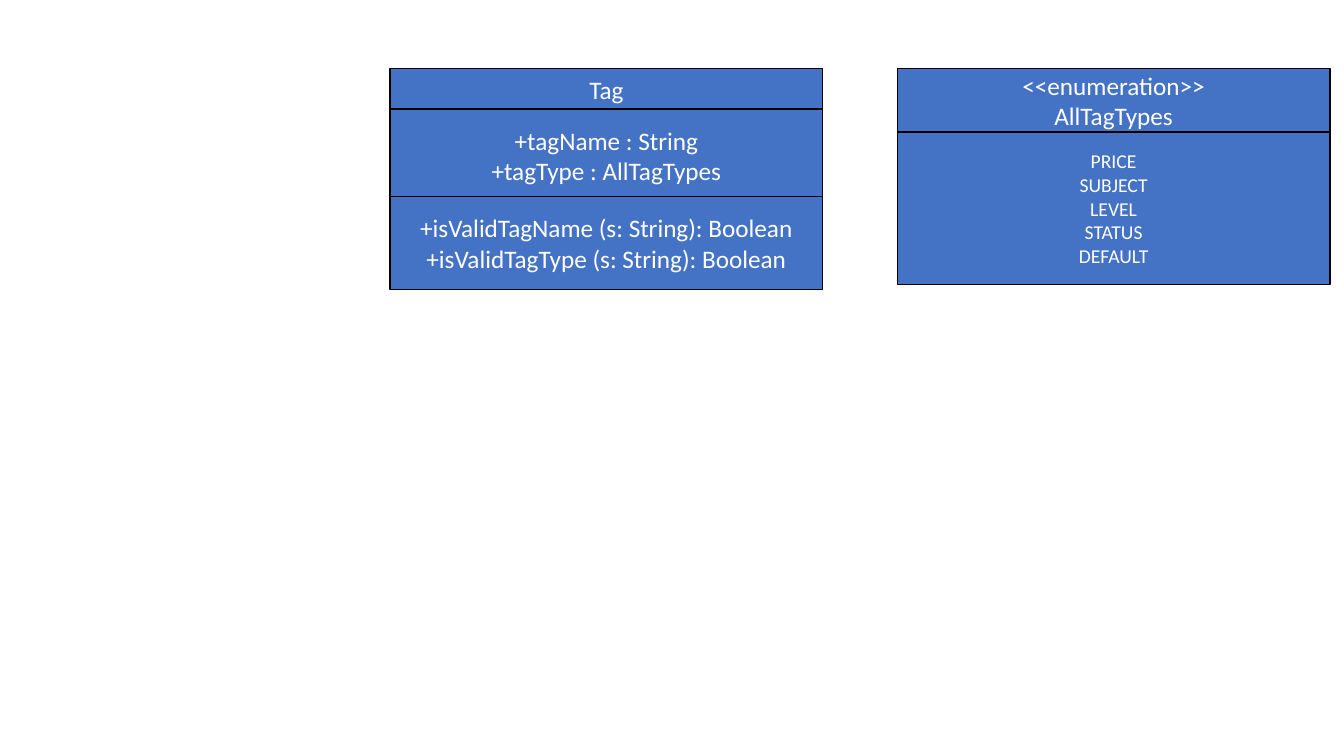
"""Build a slide with two UML class boxes: Tag and AllTagTypes."""
import dataclasses

import pptx
import pptx.dml.color
import pptx.enum.shapes
import pptx.enum.text
import pptx.shapes.autoshape
import pptx.slide
import pptx.text.text
import pptx.util

COLORS = {"fill": "4472C4", "line": "000000", "text": "FFFFFF"}
FONT = "Calibri"
SLIDE_WIDTH = pptx.util.Inches(13.33)
SLIDE_HEIGHT = pptx.util.Inches(7.5)
BOX_WIDTH = 32.18
TAG_LEFT = 29.03
ENUMERATION_LEFT = 66.77
TOP = 9.07
MEMBERS_HEIGHT = 12.27


@dataclasses.dataclass(frozen=True)
class Compartment:
    """One section of a class box, placed in percent of the slide's size."""

    left: float
    top: float
    height: float
    lines: tuple[str, ...]
    size: int = 18


COMPARTMENTS = (
    Compartment(TAG_LEFT, TOP, 5.6, ("Tag",)),
    Compartment(TAG_LEFT, 14.4, MEMBERS_HEIGHT,
                ("+tagName : String", "+tagType : AllTagTypes")),
    Compartment(ENUMERATION_LEFT, TOP, 8.4, ("<<enumeration>>", "AllTagTypes")),
    Compartment(ENUMERATION_LEFT, 17.47, 20.13,
                ("PRICE", "SUBJECT", "LEVEL", "STATUS", "DEFAULT"), size=14),
    Compartment(TAG_LEFT, 26, MEMBERS_HEIGHT,
                ("+isValidTagName (s: String): Boolean",
                 "+isValidTagType (s: String): Boolean")),
)


def rgb(name: str) -> pptx.dml.color.RGBColor:
    """Return the named colour."""
    return pptx.dml.color.RGBColor.from_string(COLORS[name])


def across(percent: float) -> int:
    """Convert a percentage of the slide's width to a length."""
    return round(SLIDE_WIDTH * percent / 100)


def down(percent: float) -> int:
    """Convert a percentage of the slide's height to a length."""
    return round(SLIDE_HEIGHT * percent / 100)


def write_text(frame: pptx.text.text.TextFrame, lines: tuple[str, ...], *,
               size: int, color: str = "text") -> None:
    """Write centred paragraphs, one for each line."""
    frame.word_wrap = True
    frame.vertical_anchor = pptx.enum.text.MSO_ANCHOR.MIDDLE
    for index, line in enumerate(lines):
        paragraph = frame.add_paragraph() if index else frame.paragraphs[0]
        paragraph.alignment = pptx.enum.text.PP_ALIGN.CENTER
        run = paragraph.add_run()
        run.text = line
        run.font.name = FONT
        run.font.size = pptx.util.Pt(size)
        run.font.color.rgb = rgb(color)


def draw_compartment(slide: pptx.slide.Slide,
                     compartment: Compartment) -> pptx.shapes.autoshape.Shape:
    """Draw one outlined section with its text."""
    shape = slide.shapes.add_shape(
        pptx.enum.shapes.MSO_SHAPE.RECTANGLE,
        across(compartment.left), down(compartment.top),
        across(BOX_WIDTH), down(compartment.height))
    shape.shadow.inherit = False
    shape.fill.solid()
    shape.fill.fore_color.rgb = rgb("fill")
    shape.line.color.rgb = rgb("line")
    shape.line.width = pptx.util.Pt(1)
    write_text(shape.text_frame, compartment.lines, size=compartment.size)
    return shape


def main() -> None:
    """Create and save the presentation."""
    presentation = pptx.Presentation()
    presentation.slide_width = SLIDE_WIDTH
    presentation.slide_height = SLIDE_HEIGHT
    slide = presentation.slides.add_slide(presentation.slide_layouts[6])
    for compartment in COMPARTMENTS:
        draw_compartment(slide, compartment)
    presentation.save("out.pptx")


if __name__ == "__main__":
    main()
